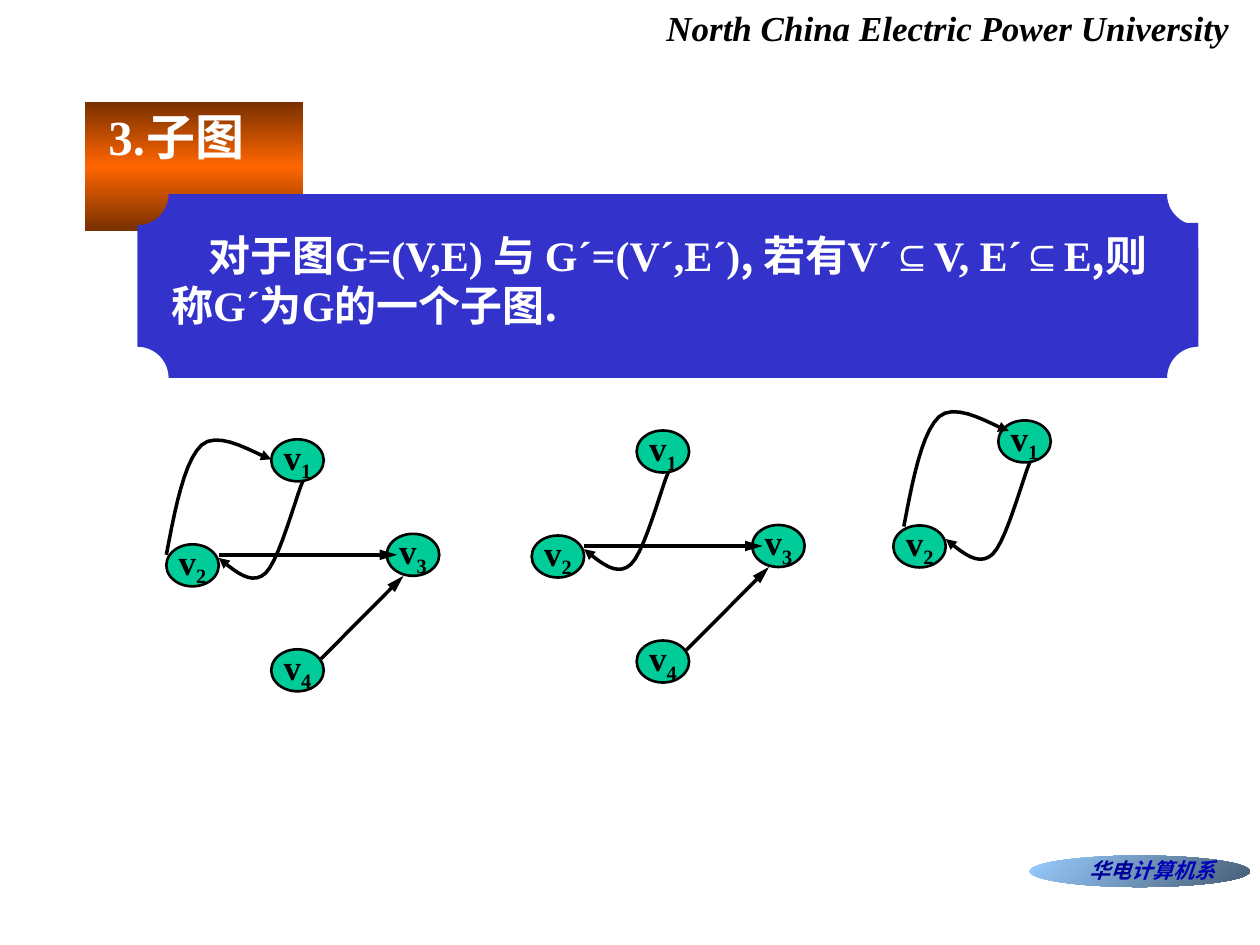
"""Build the slide that defines a subgraph, with one graph and two of its subgraphs."""
from copy import deepcopy
from dataclasses import dataclass

from lxml.etree import SubElement
from pptx import Presentation
from pptx.dml.color import RGBColor as RGB
from pptx.enum.shapes import MSO_CONNECTOR as CONNECTOR, MSO_SHAPE as SHAPE
from pptx.enum.text import MSO_ANCHOR as ANCHOR, PP_ALIGN as ALIGN
from pptx.oxml.ns import qn
from pptx.util import Inches, Pt


@dataclass(frozen=True)
class Theme:
    latin: str = "Times New Roman"
    chinese: str = "Noto Sans CJK SC"
    symbol: str = "Arial"
    black: RGB = RGB(0, 0, 0)
    white: RGB = RGB(255, 255, 255)
    node: RGB = RGB.from_string("00CC99")
    plaque: RGB = RGB.from_string("3333CC")
    orange: tuple = ("762F00", "FF6600", "762F00")
    sky: tuple = ("99CCFF", "475E76")
    navy: RGB = RGB.from_string("000099")
    royal: RGB = RGB.from_string("0000B6")
    heading: int = 28
    body: int = 24
    label: int = 20
    badge: int = 12


theme = Theme()
deck = Presentation()
deck.slide_width, deck.slide_height = Inches(10), Inches(7.5)
slide = deck.slides.add_slide(deck.slide_layouts[6])
shapes = slide.shapes
CELL = deck.slide_width / 120


def cells(*values):
    return [round(value * CELL) for value in values]


def write(frame, runs, size, italic=False):
    for words, font_name, color in runs:
        run = frame.paragraphs[0].add_run()
        run.text = words
        font = run.font
        font.size, font.bold, font.italic = Pt(size), True, italic
        font.name, font.color.rgb = font_name, color
        if font_name != theme.latin:
            SubElement(font._element, qn("a:ea")).set("typeface", font_name)


university = shapes.add_textbox(*cells(62.28, 0, 56.04, 5.28)).text_frame
write(university, [("North China Electric Power University", theme.latin, theme.black)],
      theme.label, italic=True)

# Filled panels, from back to front
panels = {}
for part, preset, place, colors, angle in (
    ("heading", SHAPE.RECTANGLE, (8.04, 9.6, 20.88, 12.48), theme.orange, 270),
    ("plaque", SHAPE.PLAQUE, (13.08, 18.48, 101.04, 17.52), None, 0),
    ("definition", SHAPE.RECTANGLE, (15.12, 21.24, 99, 10.8), None, 0),
    ("badge", SHAPE.OVAL, (98.04, 81.48, 21, 3), theme.sky, 315),
):
    panel = panels[part] = shapes.add_shape(preset, *cells(*place))
    panel.shadow.inherit = False
    panel.line.fill.background()
    if colors:
        panel.fill.gradient()
        panel.fill.gradient_angle = angle
        stop_list = panel._element.spPr.find(qn("a:gradFill")).find(qn("a:gsLst"))
        while len(stop_list) < len(colors):
            stop_list.append(deepcopy(stop_list[-1]))
        for index, (stop, color) in enumerate(zip(panel.fill.gradient_stops, colors)):
            stop.position = index / (len(colors) - 1)
            stop.color.rgb = RGB.from_string(color)
    else:
        panel.fill.solid()
        panel.fill.fore_color.rgb = theme.plaque
    panel.text_frame.word_wrap = True
    panel.text_frame.vertical_anchor = ANCHOR.TOP
    panel.text_frame.paragraphs[0].alignment = ALIGN.LEFT

panels["heading"].line.color.rgb = theme.white
panels["heading"].line.width = Pt(1)
panels["plaque"].adjustments[0] = 0.17

heading = panels["heading"].text_frame
heading.margin_left = Inches(0.19)
write(heading, [("3", theme.latin, theme.white)], theme.heading)
write(heading, [(".", theme.chinese, theme.white)], theme.body)
write(heading, [("子图", theme.chinese, theme.white)], theme.heading)

definition = panels["definition"].text_frame
definition.paragraphs[0]._p.get_or_add_pPr().set("indent", str(Inches(0.3)))
write(definition, [(words, font_name, theme.white) for words, font_name in (
    ("对于图", theme.chinese), ("G=(V,E) ", theme.latin), ("与 ", theme.chinese),
    ("G´=(V´,E´)", theme.latin), (", 若有", theme.chinese), ("V´", theme.latin),
    ("⊆", theme.symbol), ("V, E´", theme.latin), ("⊆", theme.symbol),
    ("E", theme.latin), (",则称", theme.chinese), ("G´", theme.latin),
    ("为", theme.chinese), ("G", theme.latin), ("的一个子图.", theme.chinese),
)], theme.body)

department = shapes.add_textbox(*cells(103.2, 81.72, 13.2, 2.4)).text_frame
department.margin_left = department.margin_right = 0
department.margin_top = department.margin_bottom = 0
department.paragraphs[0].alignment = ALIGN.CENTER
write(department, [("华电", theme.chinese, theme.navy), ("计算机系", theme.chinese, theme.royal)],
      theme.badge, italic=True)

# Offsets in cells from the corner of vertex 2
vertices = {1: (10, -10), 2: (0, 0), 3: (21, -1), 4: (10, 10)}
straight_edges = [((5, 1), (22, 1)), ((14.75, 10.9), (22.6, 3))]
edge_up = [(0, 0), (0.85, -4.45), (1.7, -8.9), (3.35, -10.45),
           (5.05, -12), (8.9, -9.35), (10, -9.1)]
edge_down = [(13, -6), (12.35, -4.55), (10.75, 1.55), (9.45, 2.75),
             (8.15, 3.95), (6.6, 2.65), (5, 1.3)]
STEPS = 10

for left, top, members, up_start in (
    (15.84, 51.84, (1, 2, 3, 4), (0, 1)),
    (50.64, 51, (1, 2, 3, 4), None),
    (85.08, 50.04, (1, 2), (1, 0.1)),
):
    for vertex in members:
        dx, dy = vertices[vertex]
        node = shapes.add_shape(SHAPE.OVAL, *cells(left + dx, top + dy, 5, 4))
        node.shadow.inherit = False
        node.fill.solid()
        node.fill.fore_color.rgb = theme.node
        node.line.color.rgb, node.line.width = theme.black, Pt(1.5)

    edges = []
    if 4 in members:
        for (x1, y1), (x2, y2) in straight_edges:
            edge = shapes.add_connector(
                CONNECTOR.STRAIGHT, *cells(left + x1, top + y1, left + x2, top + y2))
            SubElement(edge._element.spPr, qn("a:effectLst"))
            edges.append((edge, "lg"))

    curves = [(edge_down, (0, 0))] + ([(edge_up, up_start)] if up_start else [])
    for controls, (dx, dy) in curves:
        points = []
        for first in (0, 3):
            for step in range(STEPS + 1):
                t = step / STEPS
                weights = ((1 - t) ** 3, 3 * t * (1 - t) ** 2, 3 * t * t * (1 - t), t ** 3)
                x, y = (sum(w * point[axis] for w, point in zip(weights, controls[first:first + 4]))
                        for axis in (0, 1))
                points.append(tuple(cells(left + dx + x, top + dy + y)))
        outline = shapes.build_freeform(*points[0])
        outline.add_line_segments(points[1:], close=False)
        edge = outline.convert_to_shape()
        edge.shadow.inherit = False
        edge.fill.background()
        edges.append((edge, "med"))

    for edge, length in edges:
        edge.line.color.rgb, edge.line.width = theme.black, Pt(2)
        arrow = SubElement(edge.line._get_or_add_ln(), qn("a:tailEnd"))
        arrow.set("type", "triangle")
        arrow.set("len", length)

    for vertex in members:
        dx, dy = vertices[vertex]
        label = shapes.add_textbox(*cells(left + dx, top + dy - 1, 5.04, 5.76)).text_frame
        write(label, [("v", theme.latin, theme.black), (str(vertex), theme.latin, theme.black)],
              theme.label)
        label.paragraphs[0].runs[1].font._element.set("baseline", "-25000")

deck.save("out.pptx")
